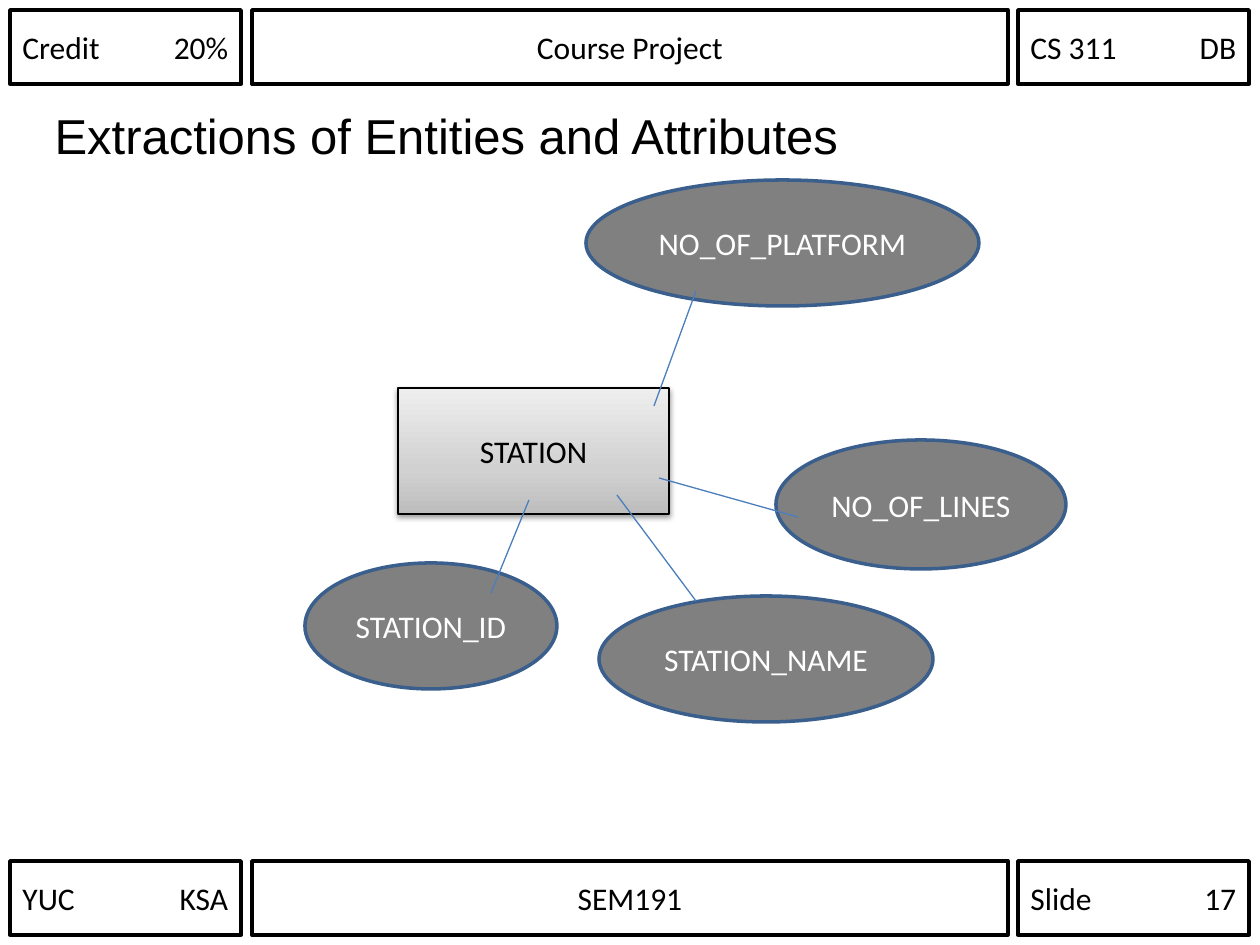
import copy

import lxml.etree
import pptx
import pptx.dml.color
import pptx.enum.shapes
import pptx.enum.text
import pptx.oxml.ns
import pptx.util

SHAPE = pptx.enum.shapes.MSO_SHAPE
ALIGN = pptx.enum.text.PP_ALIGN
ANCHOR = pptx.enum.text.MSO_ANCHOR
qn = pptx.oxml.ns.qn


def px(n):
    return pptx.util.Emu(round(n * 914400 / 126))


def rgb(value):
    return pptx.dml.color.RGBColor.from_string(value)


class Diagram:
    """Draws the elements of an entity diagram on the current slide."""

    font, size = "Calibri", 18
    black, white, gray = "000000", "FFFFFF", "808080"
    outline, link_color = "3A5F8C", "4B7EBC"

    def __init__(self, slide):
        self.slide = slide

    def title(self, text, x, y, w, h):
        s = self.slide.shapes.title
        s.left, s.top, s.width, s.height = map(px, (x, y, w, h))
        tf = s.text_frame
        tf.text = text
        tf.vertical_anchor = ANCHOR.TOP
        tf.margin_top = px(11)
        p = tf.paragraphs[0]
        p.alignment = ALIGN.LEFT
        self.style(p, "Arial", 28, self.black)

    def style(self, p, name, size, color):
        for r in p.runs:
            r.font.name = name
            r.font.size = pptx.util.Pt(size)
            r.font.color.rgb = rgb(color)

    def shape(self, kind, text, box, line, width, color, align=ALIGN.CENTER):
        s = self.slide.shapes.add_shape(kind, *map(px, box))
        s.shadow.inherit = False
        s.fill.background()
        s.line.color.rgb = rgb(line)
        s.line.width = pptx.util.Pt(width)
        tf = s.text_frame
        tf.text = text
        tf.vertical_anchor = ANCHOR.MIDDLE
        p = tf.paragraphs[0]
        p.alignment = align
        self.style(p, self.font, self.size, color)
        return s

    def label(self, text, x, y, w, h):
        align = ALIGN.LEFT if "\t" in text else ALIGN.CENTER
        s = self.shape(SHAPE.RECTANGLE, text, (x, y, w, h), self.black, 2, self.black, align)
        if "\t" in text:
            tf = s.text_frame
            pos = s.width - tf.margin_left - tf.margin_right
            pPr = tf.paragraphs[0]._p.get_or_add_pPr()
            tabs = lxml.etree.SubElement(pPr, qn("a:tabLst"))
            lxml.etree.SubElement(tabs, qn("a:tab"), pos=str(pos), algn="r")

    def entity(self, text, x, y, w, h):
        s = self.shape(SHAPE.RECTANGLE, text, (x, y, w, h), self.black, 0.75, self.black)
        s.fill.gradient()
        s.fill.gradient_angle = 90
        spPr = s._element.spPr
        stops = spPr.find(".//" + qn("a:gsLst"))
        stops.append(copy.deepcopy(stops[-1]))
        shades = ((0, "BDBDBD"), (0.35, "D1D1D1"), (1, "EEEEEE"))
        for stop, (position, color) in zip(s.fill.gradient_stops, shades):
            stop.position = position
            stop.color.rgb = rgb(color)
        effects = spPr.find(qn("a:effectLst"))
        shadow = lxml.etree.SubElement(
            effects, qn("a:outerShdw"), blurRad="40000", dist="20000", dir="5400000", rotWithShape="0")
        color = lxml.etree.SubElement(shadow, qn("a:srgbClr"), val=self.black)
        lxml.etree.SubElement(color, qn("a:alpha"), val="38000")

    def attribute(self, text, x, y, w, h):
        s = self.shape(SHAPE.OVAL, text, (x, y, w, h), self.outline, 2, self.white)
        s.fill.solid()
        s.fill.fore_color.rgb = rgb(self.gray)

    def link(self, x1, y1, x2, y2):
        s = self.slide.shapes.add_connector(
            pptx.enum.shapes.MSO_CONNECTOR.STRAIGHT, *map(px, (x1, y1, x2, y2)))
        s.line.color.rgb = rgb(self.link_color)
        s.line.width = pptx.util.Pt(0.75)
        lxml.etree.SubElement(s._element.spPr, qn("a:effectLst"))


def main():
    prs = pptx.Presentation()
    prs.slide_width, prs.slide_height = px(1260), px(945)
    d = Diagram(prs.slides.add_slide(prs.slide_layouts[5]))

    d.title("Extractions of Entities and Attributes", 42, 94, 1176, 94)

    columns = ((10, 231), (252, 756), (1018, 231))
    bands = (
        (10, ("Credit\t20%", "Course Project", "CS 311\tDB")),
        (861, ("YUC\tKSA", "SEM191", "Slide\t17")),
    )
    for y, texts in bands:
        for (x, w), text in zip(columns, texts):
            d.label(text, x, y, w, 74)

    d.entity("STATION", 398, 388, 271, 126)
    for text, *box in (
        ("STATION_ID", 305, 563, 252, 126),
        ("STATION_NAME", 599, 596, 334, 126),
        ("NO_OF_PLATFORM", 586, 180, 393, 126),
        ("NO_OF_LINES", 776, 440, 290, 129),
    ):
        d.attribute(text, *box)

    for ends in (
        (617, 495, 696, 601),
        (654, 406, 696, 291),
        (529, 500, 491, 593),
        (659, 478, 798, 517),
    ):
        d.link(*ends)

    prs.save("out.pptx")


if __name__ == "__main__":
    main()
